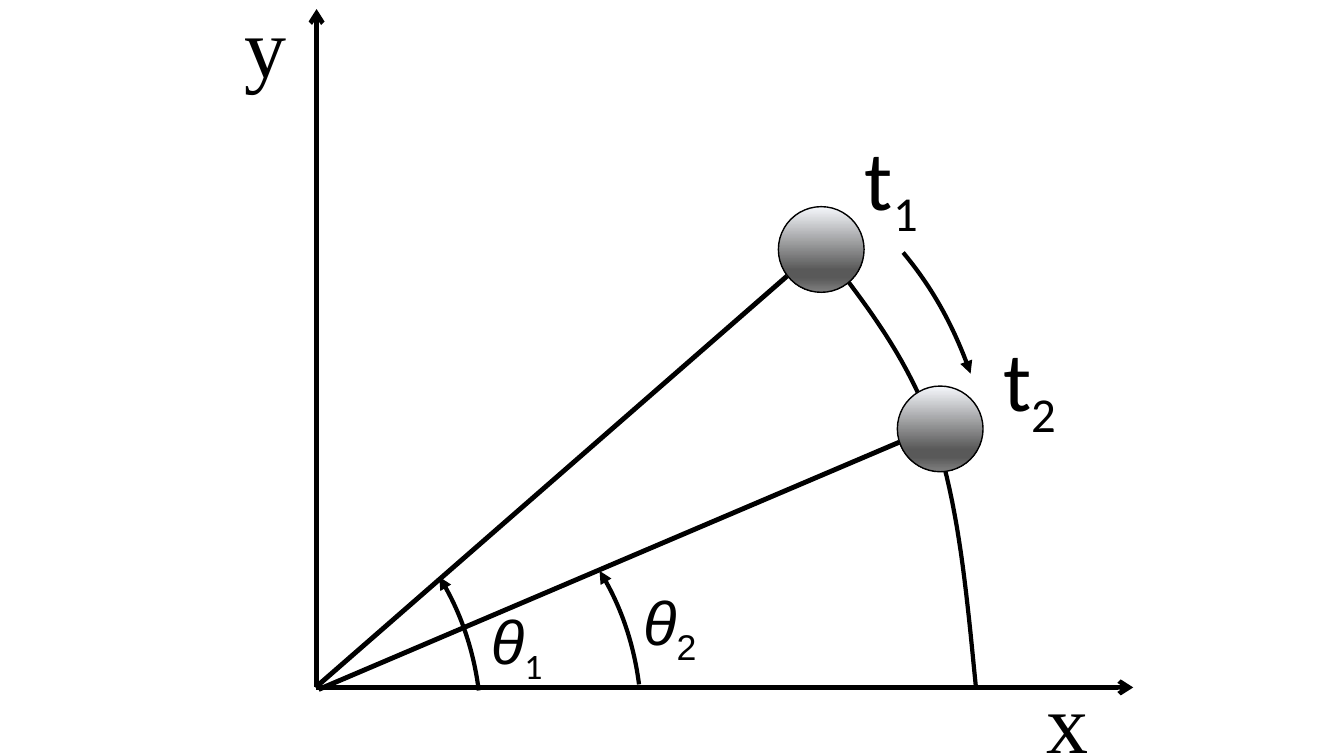
from dataclasses import dataclass

from lxml.etree import SubElement
from pptx import Presentation
from pptx.dml.color import RGBColor
from pptx.enum.shapes import MSO_CONNECTOR, MSO_SHAPE
from pptx.enum.text import MSO_AUTO_SIZE
from pptx.oxml.ns import qn
from pptx.util import Inches, Pt


@dataclass(frozen=True)
class Theme:
    ink: str = "000000"
    ball_stops: tuple = ((0, "F6F8FC"), (74, "595959"), (83, "595959"), (100, "808080"))
    serif: str = "Times New Roman"
    sans: str = "Calibri"
    greek: str = "Arial"
    large: int = 60
    medium: int = 44
    axis_width: float = 3.25
    radius_width: float = 3.5
    arc_width: float = 3
    ball_width: float = 1


THEME = Theme()
COLUMNS, ROWS = 13.33, 7.5
CELL = Inches(1)
BALL_SIZE = 0.85
ARC_START = 189.88
ANGLE_ARC = (2.95, 4.21)
ANGLE_TURN = 352.8
MOTION_ARC = (3.32, 5.29)
MOTION_TURN = 340.7


def grid(*cells):
    """Turn columns and rows of the square grid into slide lengths."""
    return [round(cell * CELL) for cell in cells]


def draw_line(shape, width, **arrowheads):
    """Style an outline; arrowheads are headEnd or tailEnd with their type."""
    shape.line.color.rgb = RGBColor.from_string(THEME.ink)
    shape.line.width = Pt(width)
    outline = shape.line._get_or_add_ln()
    for end, kind in arrowheads.items():
        SubElement(outline, qn(f"a:{end}"), type=kind)


def add_segment(slide, start, finish, width, **arrowheads):
    connector = slide.shapes.add_connector(MSO_CONNECTOR.STRAIGHT, *grid(*start, *finish))
    draw_line(connector, width, **arrowheads)
    SubElement(connector._element.spPr, qn("a:effectLst"))


def add_arc(slide, corner, size, turn, **arrowheads):
    arc = slide.shapes.add_shape(MSO_SHAPE.ARC, *grid(*corner, *size))
    arc.adjustments[0], arc.adjustments[1] = ARC_START, 0
    arc.rotation = turn
    arc.shadow.inherit = False
    arc.fill.background()
    draw_line(arc, THEME.arc_width, **arrowheads)


def bezier(start, control_1, control_2, finish, steps=20):
    """List the points of a cubic curve after its start."""
    points = []
    for step in range(1, steps + 1):
        t = step / steps
        weights = ((1 - t) ** 3, 3 * t * (1 - t) ** 2, 3 * t**2 * (1 - t), t**3)
        corners = (start, control_1, control_2, finish)
        points.append(tuple(sum(w * corner[axis] for w, corner in zip(weights, corners))
                            for axis in (0, 1)))
    return points


def add_trajectory(slide):
    start, middle, finish = (8.18, 2.49), (9.26, 4.28), (9.68, 6.82)
    points = bezier(start, (8.59, 3.02), (9.01, 3.56), middle)
    points += bezier(middle, (9.51, 5), (9.59, 5.91), finish)
    builder = slide.shapes.build_freeform(*grid(*start))
    builder.add_line_segments([grid(*point) for point in points], close=False)
    trajectory = builder.convert_to_shape()
    trajectory.shadow.inherit = False
    trajectory.fill.background()
    draw_line(trajectory, THEME.arc_width)


def add_ball(slide, corner):
    ball = slide.shapes.add_shape(MSO_SHAPE.OVAL, *grid(*corner, BALL_SIZE, BALL_SIZE))
    ball.shadow.inherit = False
    ball.fill.gradient()
    ball.fill.gradient_angle = 270
    stops = ball._element.spPr.find(qn("a:gradFill")).find(qn("a:gsLst"))
    for stop in list(stops):
        stops.remove(stop)
    for percent, colour in THEME.ball_stops:
        stop = SubElement(stops, qn("a:gs"), pos=str(percent * 1000))
        SubElement(stop, qn("a:srgbClr"), val=colour)
    draw_line(ball, THEME.ball_width)


def add_label(slide, corner, size, points, *runs):
    """Write a symbol; each run is its text, its font and its kind."""
    box = slide.shapes.add_textbox(*grid(*corner, *size))
    frame = box.text_frame
    frame.word_wrap = False
    frame.auto_size = MSO_AUTO_SIZE.SHAPE_TO_FIT_TEXT
    paragraph = frame.paragraphs[0]
    for text, font_name, kind in runs:
        run = paragraph.add_run()
        run.text = text
        run.font.color.rgb = RGBColor.from_string(THEME.ink)
        values = {"name": font_name, "size": Pt(points), "italic": kind == "italic"}
        for name, value in values.items():
            setattr(run.font, name, value)
        if kind == "subscript":
            run._r.get_or_add_rPr().set("baseline", "-25000")


def main():
    presentation = Presentation()
    presentation.slide_width, presentation.slide_height = grid(COLUMNS, ROWS)
    slide = presentation.slides.add_slide(presentation.slide_layouts[6])

    add_trajectory(slide)
    for tip, origin in (((3.14, 0.09), (3.14, 6.82)), ((11.24, 6.82), (3.13, 6.82))):
        add_segment(slide, tip, origin, THEME.axis_width, headEnd="arrow")
    for name, corner in (("y", (2.33, -0.11)), ("x", (10.28, 6.59))):
        add_label(slide, corner, (0.62, 1.11), THEME.large, (name, THEME.serif, "plain"))

    for corner in ((3.4, 4.87), (1.81, 4.93)):
        add_arc(slide, corner, ANGLE_ARC, ANGLE_TURN, headEnd="triangle")
    add_arc(slide, (6.4, 1.61), MOTION_ARC, MOTION_TURN, tailEnd="triangle")

    for index, corner in (("1", (8.48, 1.21)), ("2", (9.85, 3.2))):
        add_label(slide, corner, (0.77, 1.11), THEME.large,
                  ("t", THEME.sans, "plain"), (index, THEME.sans, "subscript"))
    for index, font_name, corner in (("1", THEME.sans, (4.77, 5.93)),
                                     ("2", THEME.greek, (6.28, 5.74))):
        add_label(slide, corner, (0.73, 0.84), THEME.medium,
                  ("θ", THEME.greek, "italic"), (index, font_name, "subscript"))

    for origin, end in (((3.13, 6.82), (7.92, 2.64)), ((3.16, 6.84), (9.1, 4.31))):
        add_segment(slide, origin, end, THEME.radius_width)
    for corner in ((8.9, 3.83), (7.72, 2.05)):
        add_ball(slide, corner)

    presentation.save("out.pptx")


if __name__ == "__main__":
    main()
